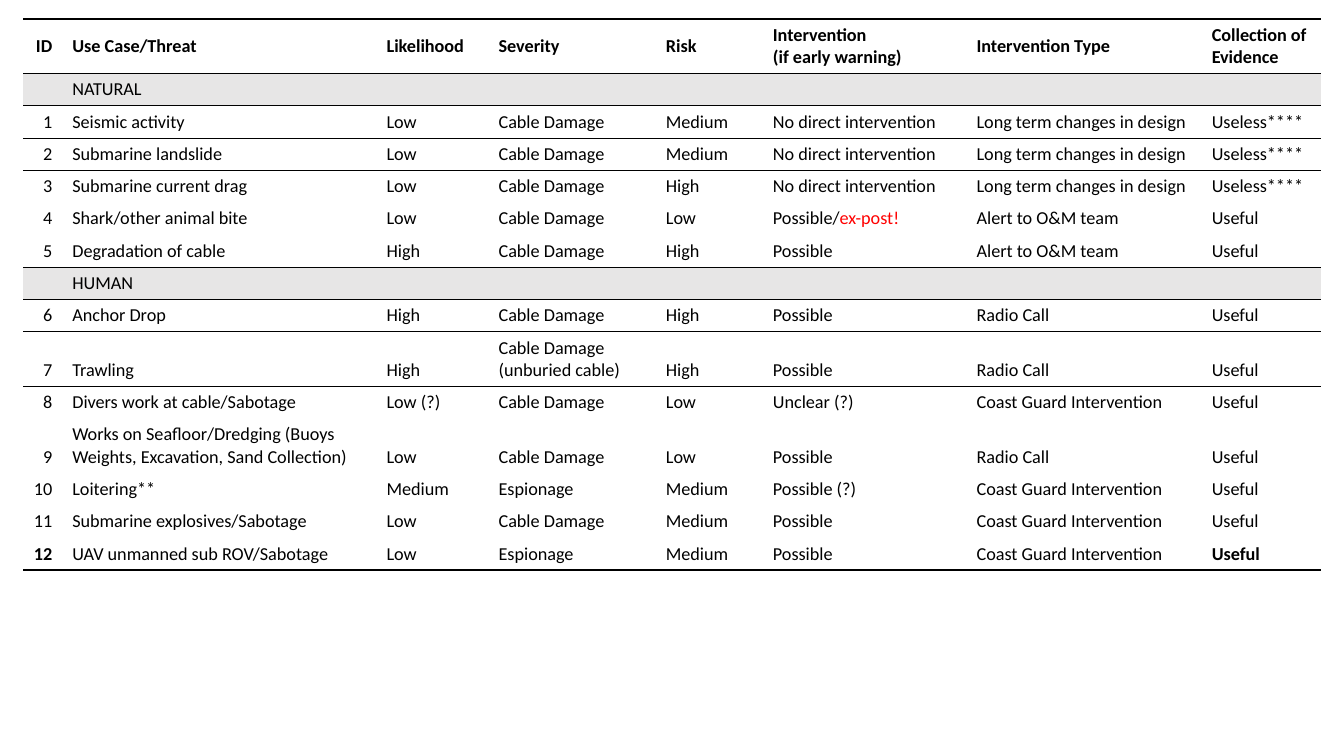
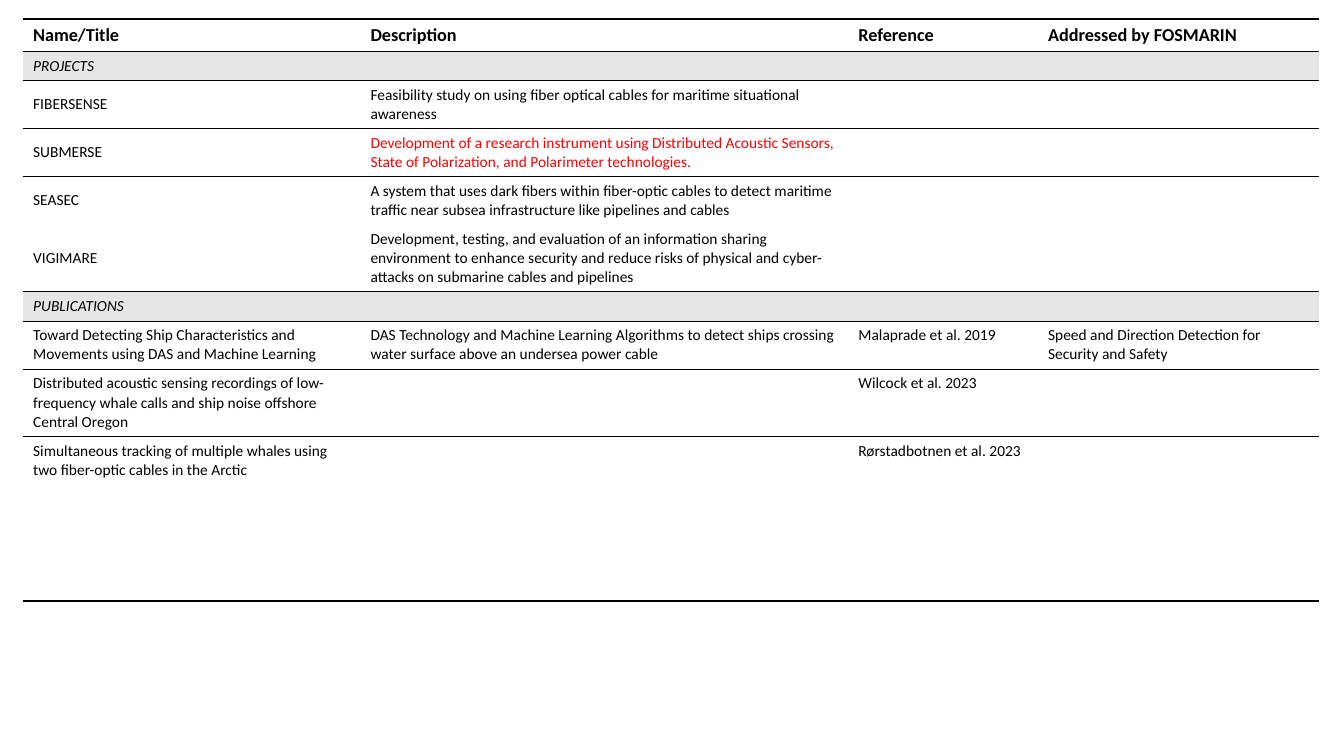
"""Build two slides of ruled tables on subsea cable threats and related work."""
from dataclasses import dataclass

from lxml import etree
from pptx import Presentation
from pptx.dml.color import RGBColor
from pptx.enum import text as t
from pptx.oxml import ns
from pptx.util import Pt

MID, LOW, TOP = t.MSO_ANCHOR.MIDDLE, t.MSO_ANCHOR.BOTTOM, t.MSO_ANCHOR.TOP


@dataclass(frozen=True)
class Theme:
    font: str = "Calibri"
    ink: str = "000000"
    red: str = "FF0000"
    page: str = "FFFFFF"
    band: str = "E7E6E6"
    large: float = 13
    small: float = 11
    thick: float = 2
    rule: float = 1
    thin: float = 0.75
    left: float = 16.5
    top: float = 13.5
    pad: float = 7.2
    lead: float = 1.22
    plain: str = "{2D5ABB26-0587-4C30-8999-92F81FD0307C}"


TH = Theme()


@dataclass(frozen=True)
class Bit:
    text: str
    color: str = TH.ink
    bold: bool = False


@dataclass(frozen=True)
class Row:
    cells: tuple = ()
    lines: int = 1
    kind: str = "body"
    anchor: t.MSO_ANCHOR = MID


@dataclass(frozen=True)
class Sheet:
    cols: tuple
    rows: tuple
    size: float
    gap: float
    slant: bool = False
    ids: bool = False


def write(para, text: str, *, size: float, color: str = TH.ink,
          bold: bool = False, italic: bool = False) -> None:
    for num, part in enumerate(text.split("\n")):
        if num:
            para.add_line_break()
        run = para.add_run()
        run.text = part
        font = run.font
        font.name, font.size, font.bold, font.italic = TH.font, Pt(size), bold, italic
        font.color.rgb = RGBColor.from_string(color)


def line(cell, side: str, width: float) -> None:
    props = cell._tc.get_or_add_tcPr()
    edge = etree.SubElement(props, ns.qn(f"a:{side}"), w=str(Pt(width)))
    fill = etree.SubElement(edge, ns.qn("a:solidFill"))
    etree.SubElement(fill, ns.qn("a:srgbClr"), val=TH.ink)


def edges(sheet: Sheet) -> list[float]:
    rows = sheet.rows
    out = [TH.thick]
    for num in range(1, len(rows)):
        prev, row = rows[num - 1], rows[num]
        if prev.kind == "head":
            out.append(TH.rule)
        elif row.kind == "band":
            out.append(sheet.gap)
        elif prev.kind == "band" or rows[num - 2].kind == "band":
            out.append(TH.thin)
        else:
            out.append(0)
    return out + [TH.thick]


def fill(cell, item, row: Row, size: float, italic: bool, right: bool) -> None:
    cell.vertical_anchor = row.anchor
    para = cell.text_frame.paragraphs[0]
    if right:
        para.alignment = t.PP_ALIGN.RIGHT
    if not item:
        etree.SubElement(para._p, ns.qn("a:endParaRPr"), sz=str(int(size * 100)))
        return
    for bit in item if isinstance(item, tuple) else (item,):
        bit = Bit(bit) if isinstance(bit, str) else bit
        write(para, bit.text, size=size, color=bit.color, italic=italic,
              bold=bit.bold or row.kind == "head")


def draw(deck, sheet: Sheet) -> None:
    slide = deck.slides.add_slide(deck.slide_layouts[6])
    sizes = [TH.large if r.kind == "head" else sheet.size for r in sheet.rows]
    tall = [r.lines * s * TH.lead + TH.pad for r, s in zip(sheet.rows, sizes)]
    grid = slide.shapes.add_table(
        len(sheet.rows), len(sheet.cols), Pt(TH.left), Pt(TH.top),
        Pt(sum(sheet.cols)), Pt(sum(tall))).table
    grid.first_row = grid.horz_banding = False
    grid._tbl.tblPr.find(ns.qn("a:tableStyleId")).text = TH.plain
    for col, width in zip(grid.columns, sheet.cols):
        col.width = Pt(width)
    rules = edges(sheet)
    for y, row in enumerate(sheet.rows):
        grid.rows[y].height = Pt(tall[y])
        band = row.kind == "band"
        for x in range(len(sheet.cols)):
            cell = grid.cell(y, x)
            for side, width in (("lnT", rules[y]), ("lnB", rules[y + 1])):
                if width:
                    line(cell, side, width)
            cell.fill.solid()
            cell.fill.fore_color.rgb = RGBColor.from_string(TH.band if band else TH.page)
            item = row.cells[x] if x < len(row.cells) else ""
            fill(cell, item, row, sizes[y], band and sheet.slant, sheet.ids and x == 0)


CABLE, GUARD = "Cable Damage", "Coast Guard Intervention"
NONE, LONG, WASTE = "No direct intervention", "Long term changes in design", "Useless****"
TEAM, CALL = "Alert to O&M team", "Radio Call"

THREATS = Sheet(
    cols=(28, 224.5, 80, 119.5, 76.5, 145.5, 168, 85.5),
    size=TH.large, gap=TH.thin, ids=True,
    rows=(
        Row(("ID", "Use Case/Threat", "Likelihood", "Severity", "Risk",
             "Intervention\n(if early warning)", "Intervention Type",
             "Collection of Evidence"), 2, "head"),
        Row(("", "NATURAL"), kind="band"),
        Row(("1", "Seismic activity", "Low", CABLE, "Medium", NONE, LONG, WASTE)),
        Row(("2", "Submarine landslide", "Low", CABLE, "Medium", NONE, LONG, WASTE)),
        Row(("3", "Submarine current drag", "Low", CABLE, "High", NONE, LONG, WASTE)),
        Row(("4", "Shark/other animal bite", "Low", CABLE, "Low",
             ("Possible/", Bit("ex-post!", TH.red)), TEAM, "Useful")),
        Row(("5", "Degradation of cable", "High", CABLE, "High", "Possible", TEAM, "Useful")),
        Row(("", "HUMAN"), kind="band", anchor=LOW),
        Row(("6", "Anchor Drop", "High", CABLE, "High", "Possible", CALL, "Useful"),
            anchor=LOW),
        Row(("7", "Trawling", "High", "Cable Damage (unburied cable)", "High",
             "Possible", CALL, "Useful"), 2, anchor=LOW),
        Row(("8", "Divers work at cable/Sabotage", "Low (?)", CABLE, "Low",
             "Unclear (?)", GUARD, "Useful"), anchor=LOW),
        Row(("9", "Works on Seafloor/Dredging (Buoys Weights, Excavation, Sand Collection)",
             "Low", CABLE, "Low", "Possible", CALL, "Useful"), 2, anchor=LOW),
        Row(("10", "Loitering**", "Medium", "Espionage", "Medium", "Possible (?)",
             GUARD, "Useful"), anchor=LOW),
        Row(("11", "Submarine explosives/Sabotage", "Low", CABLE, "Medium", "Possible",
             GUARD, "Useful"), anchor=LOW),
        Row((Bit("12", bold=True), "UAV unmanned sub ROV/Sabotage", "Low", "Espionage",
             "Medium", "Possible", GUARD, Bit("Useful", bold=True)), anchor=LOW),
    ))

WORKS = Sheet(
    cols=(241, 348.5, 135.5, 201),
    size=TH.small, gap=TH.rule, slant=True,
    rows=(
        Row(("Name/Title", "Description", "Reference", "Addressed by FOSMARIN"), kind="head"),
        Row(("PROJECTS",), kind="band"),
        Row(("FIBERSENSE", "Feasibility study on using fiber optical cables for maritime "
             "situational awareness"), 2),
        Row(("SUBMERSE", Bit("Development of a research instrument using Distributed "
             "Acoustic Sensors, State of Polarization, and Polarimeter technologies.",
             TH.red)), 2),
        Row(("SEASEC", "A system that uses dark fibers within fiber-optic cables to detect "
             "maritime traffic near subsea infrastructure like pipelines and cables"), 2),
        Row(("VIGIMARE", "Development, testing, and evaluation of an information sharing "
             "environment to enhance security and reduce risks of physical and "
             "cyber-attacks on submarine cables and pipelines"), 3),
        Row(("PUBLICATIONS",), kind="band", anchor=LOW),
        Row(("Toward Detecting Ship Characteristics and Movements using DAS and Machine "
             "Learning", "DAS Technology and Machine Learning Algorithms to detect ships "
             "crossing water surface above an undersea power cable",
             "Malaprade et al. 2019",
             "Speed and Direction Detection for Security and Safety"), 2, anchor=TOP),
        Row(("Distributed acoustic sensing recordings of low-frequency whale calls and "
             "ship noise offshore Central Oregon", "", "Wilcock et al. 2023"), 3, anchor=TOP),
        Row(("Simultaneous tracking of multiple whales using two fiber-optic cables in "
             "the Arctic", "", "Rørstadbotnen et al. 2023"), 2, anchor=TOP),
    ) + (Row(),) * 4)


def main() -> None:
    deck = Presentation()
    deck.slide_width, deck.slide_height = Pt(960), Pt(540)
    for sheet in (THREATS, WORKS):
        draw(deck, sheet)
    deck.save("out.pptx")


if __name__ == "__main__":
    main()
